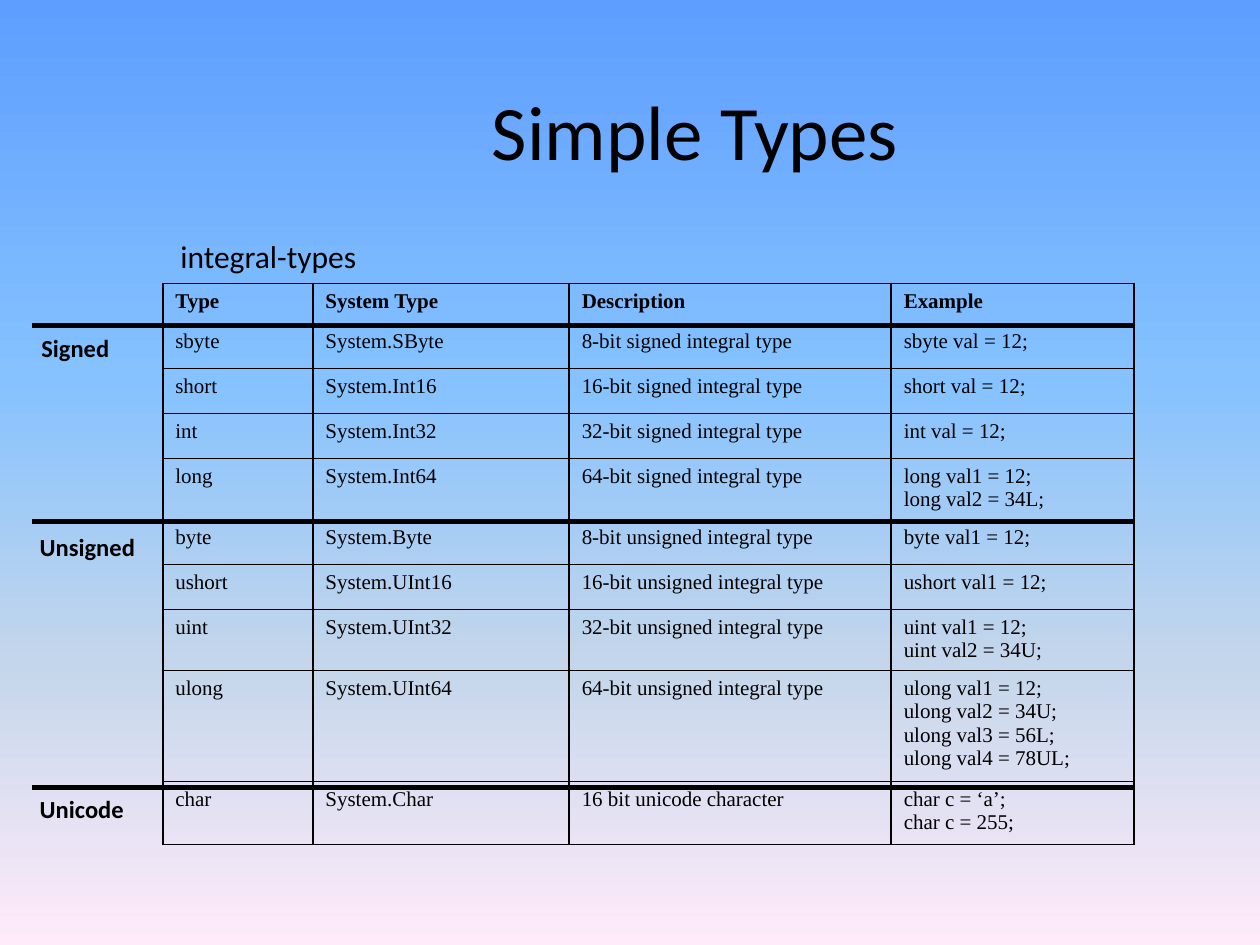
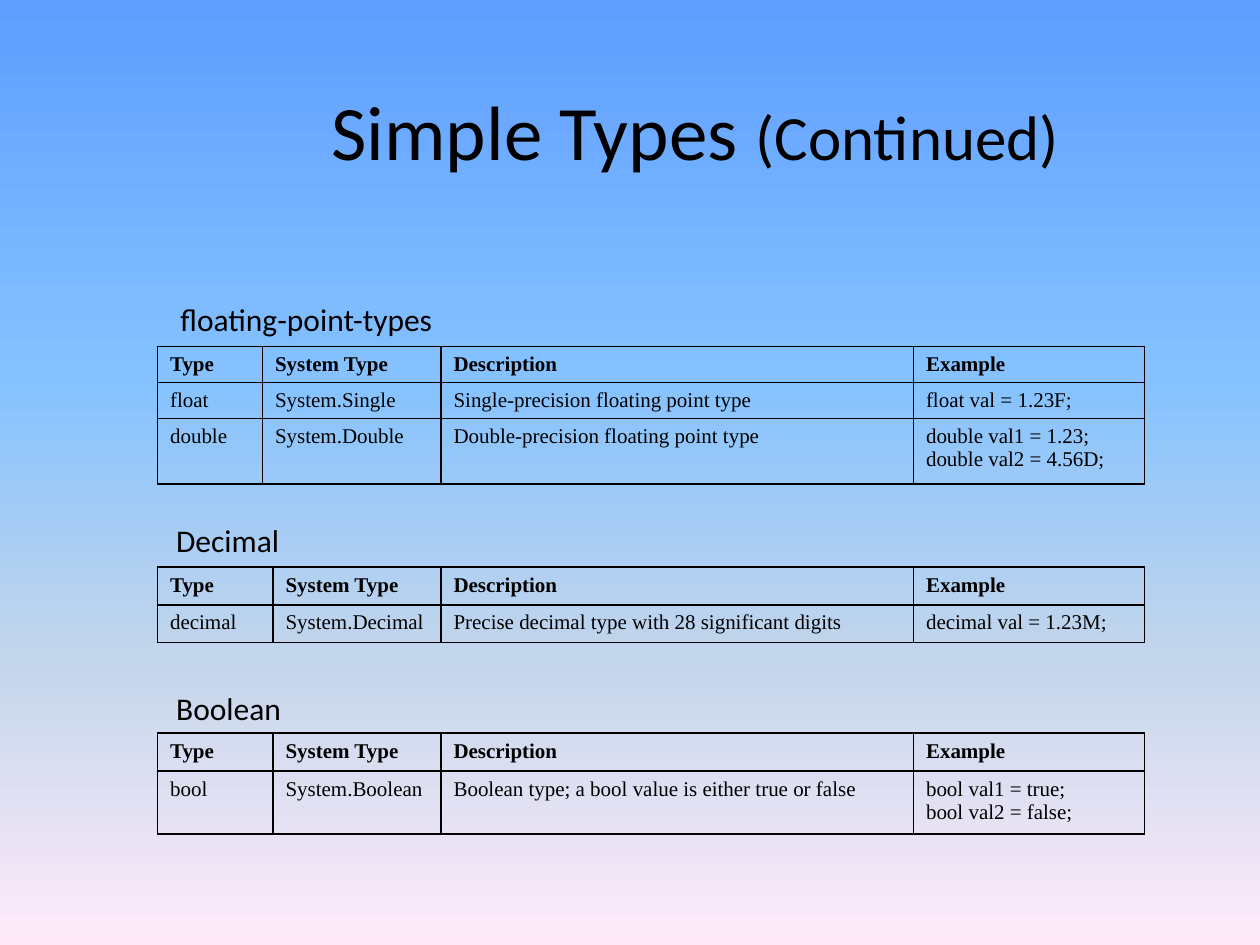
from copy import deepcopy

from pptx import Presentation
from pptx.dml.color import RGBColor as RGB
from pptx.enum.shapes import MSO_CONNECTOR as CONN
from pptx.enum.text import MSO_ANCHOR as ANCHOR, MSO_AUTO_SIZE as AUTO, PP_ALIGN as ALIGN
from pptx.oxml import parse_xml
from pptx.oxml.ns import nsdecls, qn
from pptx.util import Pt

COLORS = {"ink": "000000"}
GRADIENT = {0: "5E9EFF", 0.4: "85C2FF", 0.7: "C4D6EB", 1: "FFEBFA"}
FONTS = {
    "title": dict(name="Calibri", size=Pt(44), bold=False),
    "suffix": dict(name="Calibri", size=Pt(36), bold=False),
    "caption": dict(name="Calibri", size=Pt(18), bold=False),
    "group": dict(name="Calibri", size=Pt(14), bold=True),
    "head": dict(name="Times New Roman", size=Pt(12), bold=True),
    "cell": dict(name="Times New Roman", size=Pt(12), bold=False),
}
HEADER = ("Type", "System Type", "Description", "Example")

INTEGRAL = [
    ("sbyte", "System.SByte", "8-bit signed integral type", "sbyte val = 12;"),
    ("short", "System.Int16", "16-bit signed integral type", "short val = 12;"),
    ("int", "System.Int32", "32-bit signed integral type", "int val = 12;"),
    ("long", "System.Int64", "64-bit signed integral type",
     "long val1 = 12;\nlong val2 = 34L;"),
    ("byte", "System.Byte", "8-bit unsigned integral type", "byte val1 = 12;"),
    ("ushort", "System.UInt16", "16-bit unsigned integral type", "ushort val1 = 12;"),
    ("uint", "System.UInt32", "32-bit unsigned integral type",
     "uint val1 = 12;\nuint val2 = 34U;"),
    ("ulong", "System.UInt64", "64-bit unsigned integral type",
     "ulong val1 = 12;\nulong val2 = 34U;\nulong val3 = 56L;\nulong val4 = 78UL;"),
    ("char", "System.Char", "16 bit unicode character",
     "char c = ‘a’;\nchar c = 255;"),
]
FLOATING = [
    ("float", "System.Single", "Single-precision floating point type", "float val = 1.23F;"),
    ("double", "System.Double", "Double-precision floating point type",
     "double val1 = 1.23;\ndouble val2 = 4.56D;"),
]
DECIMAL = [
    ("decimal", "System.Decimal", "Precise decimal type with 28 significant digits",
     "decimal val = 1.23M;"),
]
BOOLEAN = [
    ("bool", "System.Boolean", "Boolean type; a bool value is either true or false",
     "bool val1 = true;\nbool val2 = false;"),
]


class Deck:
    """Holds the shared style and the current slide."""

    def __init__(self):
        self.prs = Presentation()
        self.prs.slide_width, self.prs.slide_height = Pt(720), Pt(540)
        self.ink = RGB.from_string(COLORS["ink"])
        self.background()

    def background(self):
        master = self.prs.slide_master
        fill = master.background.fill
        fill.gradient()
        fill.gradient_angle = 270
        stops = master.element.cSld.find(".//" + qn("a:gsLst"))
        while len(stops) < len(GRADIENT):
            stops.append(deepcopy(stops[0]))
        for stop, (pos, color) in zip(fill.gradient_stops, GRADIENT.items()):
            stop.position = pos
            stop.color.rgb = RGB.from_string(color)

    def format(self, font, style):
        for key, value in FONTS[style].items():
            setattr(font, key, value)
        font.color.rgb = self.ink

    def slide(self, title, suffix=""):
        self.s = self.prs.slides.add_slide(self.prs.slide_layouts[5])
        sp = self.s.shapes.title
        box = dict(left=90.5, top=16.5, width=613.5, height=115)
        for key, value in box.items():
            setattr(sp, key, Pt(value))
        tf = sp.text_frame
        tf.vertical_anchor, tf.auto_size = ANCHOR.MIDDLE, AUTO.NONE
        p = tf.paragraphs[0]
        p.alignment = ALIGN.CENTER
        for text, style in ((title, "title"), (suffix, "suffix")):
            if text:
                r = p.add_run()
                r.text = text
                self.format(r.font, style)

    def label(self, text, x, y, w, h, style):
        tf = self.s.shapes.add_textbox(Pt(x), Pt(y), Pt(w), Pt(h)).text_frame
        tf.word_wrap, tf.auto_size = False, AUTO.SHAPE_TO_FIT_TEXT
        r = tf.paragraphs[0].add_run()
        r.text = text
        self.format(r.font, style)

    def rule(self, x1, x2, y):
        sp = self.s.shapes.add_connector(CONN.STRAIGHT, Pt(x1), Pt(y), Pt(x2), Pt(y))
        sp.line.width, sp.line.color.rgb = Pt(3), self.ink
        sp._element.spPr.append(parse_xml(f"<a:effectLst {nsdecls('a')}/>"))

    def table(self, body, x, y, widths, heights, hanging=0):
        rows = [HEADER, *body]
        tbl = self.s.shapes.add_table(len(rows), len(widths), Pt(x), Pt(y),
                                      Pt(sum(widths)), Pt(sum(heights))).table
        tbl.first_row = tbl.horz_banding = False
        for col, w in zip(tbl.columns, widths):
            col.width = Pt(w)
        for i, (row, h, texts) in enumerate(zip(tbl.rows, heights, rows)):
            row.height = Pt(h)
            for cell, text in zip(row.cells, texts):
                self.cell(cell, text, "cell" if i else "head", hanging)

    def cell(self, cell, text, style, hanging):
        cell.fill.background()
        tcPr = cell._tc.get_or_add_tcPr()
        for i, side in enumerate("LRTB"):
            tcPr.insert(i, parse_xml(
                f'<a:ln{side} {nsdecls("a")} w="{Pt(1)}"><a:solidFill>'
                f'<a:srgbClr val="{COLORS["ink"]}"/></a:solidFill></a:ln{side}>'))
        cell.text_frame.text = text
        for p in cell.text_frame.paragraphs:
            if hanging:
                pPr = p._p.get_or_add_pPr()
                pPr.set("marL", str(Pt(hanging)))
                pPr.set("indent", str(-Pt(hanging)))
            for r in p.runs:
                self.format(r.font, style)


def integral_slide(deck):
    deck.slide("Simple Types")
    single, double = 25.7, 34.9
    deck.table(INTEGRAL, 93, 162, (85.75, 146.5, 184, 138.75),
               (23, *[single] * 3, double, single, single, double, 63.4, 36))
    groups = (("Signed", 16.5, 186.5, 62.5, 186), ("Unsigned", 15.6, 300.5, 80, 298),
              ("Unicode", 15.6, 450, 71, 450))
    for text, x, y, w, _ in groups:
        deck.label(text, x, y, w, 24, "group")
    deck.label("integral-types", 96, 132, 123, 29, "caption")
    for *_, rule_y in groups:
        deck.rule(18, 648, rule_y)


def continued_slide(deck):
    deck.slide("Simple Types ", "(Continued)")
    line = 20.6
    narrow, wide = (60, 102, 270, 132), (66, 96, 270, 132)
    sections = (
        ("floating-point-types", 96, 168, 169, FLOATING, 198, narrow, (line, line, 37.5)),
        ("Decimal", 93.6, 294, 77, DECIMAL, 324, wide, (line, line)),
        ("Boolean", 93.6, 390, 78, BOOLEAN, 419, wide, (21.5, 36)),
    )
    for text, x, y, w, body, table_y, widths, heights in sections:
        deck.table(body, 90, table_y, widths, heights, hanging=27)
        deck.label(text, x, y, w, 29, "caption")


def main():
    deck = Deck()
    integral_slide(deck)
    continued_slide(deck)
    deck.prs.save("out.pptx")


if __name__ == "__main__":
    main()
